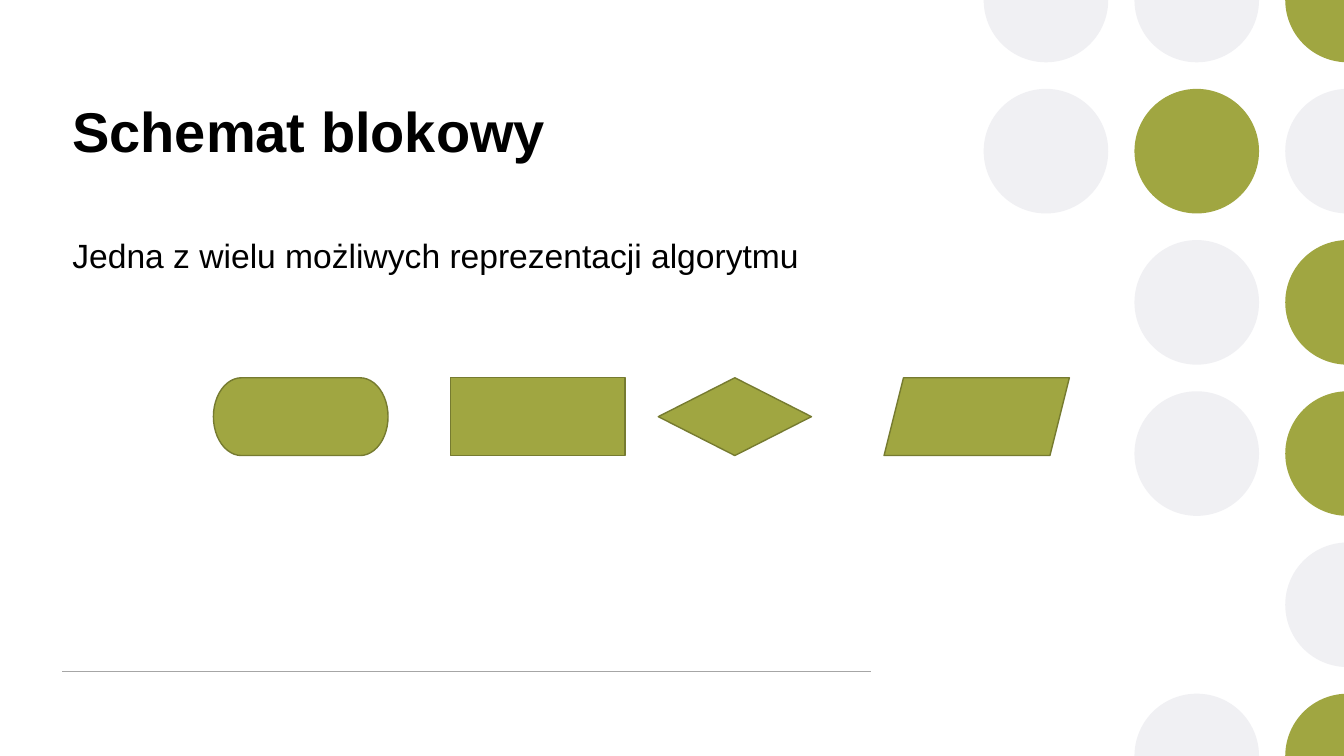
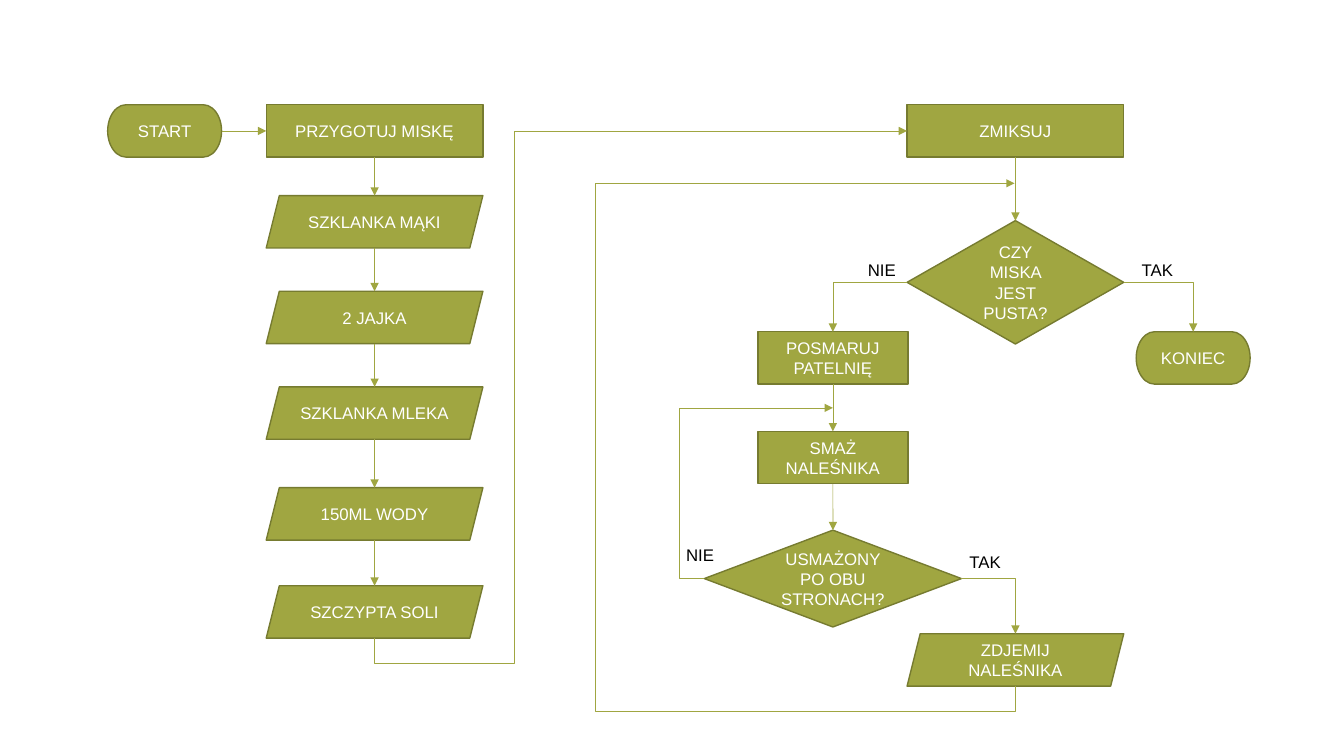
from dataclasses import dataclass

from lxml import etree
from pptx import Presentation
from pptx.dml.color import RGBColor
from pptx.enum.shapes import MSO_CONNECTOR, MSO_SHAPE
from pptx.enum.text import MSO_ANCHOR, MSO_AUTO_SIZE, PP_ALIGN
from pptx.oxml.ns import qn
from pptx.util import Cm, Pt

TERMINATOR = MSO_SHAPE.FLOWCHART_TERMINATOR
PROCESS = MSO_SHAPE.RECTANGLE
DECISION = MSO_SHAPE.FLOWCHART_DECISION
DATA = MSO_SHAPE.PARALLELOGRAM
OVAL = MSO_SHAPE.OVAL
STRAIGHT = MSO_CONNECTOR.STRAIGHT
ELBOW = MSO_CONNECTOR.ELBOW
MIDDLE, TOP = MSO_ANCHOR.MIDDLE, MSO_ANCHOR.TOP
CENTER, LEFT = PP_ALIGN.CENTER, PP_ALIGN.LEFT
NO_AUTOFIT = MSO_AUTO_SIZE.NONE
TITLE_AND_CONTENT, BLANK = 1, 6
SLIDE_W, SLIDE_H = 33.87, 19.05


@dataclass(frozen=True)
class Theme:
    font: str = "Arial"
    olive: RGBColor = RGBColor(0xA0, 0xA6, 0x41)
    olive_dark: RGBColor = RGBColor(0x76, 0x7B, 0x30)
    mist: RGBColor = RGBColor(0xF0, 0xF0, 0xF3)
    rule: RGBColor = RGBColor(0xA6, 0xA6, 0xA6)
    ink: RGBColor = RGBColor(0, 0, 0)
    paper: RGBColor = RGBColor(0xFF, 0xFF, 0xFF)
    title_size: Pt = Pt(40)
    body_size: Pt = Pt(24)
    flow_size: Pt = Pt(12)
    outline: Pt = Pt(1)
    arrow: Pt = Pt(0.5)


THEME = Theme()


@dataclass(frozen=True)
class Box:
    """A rectangle in centimetres."""
    x: float
    y: float
    w: float
    h: float

    @property
    def top(self):
        return self.x + self.w / 2, self.y

    @property
    def bottom(self):
        return self.x + self.w / 2, self.y + self.h

    @property
    def left(self):
        return self.x, self.y + self.h / 2

    @property
    def right(self):
        return self.x + self.w, self.y + self.h / 2

    def lengths(self):
        return Cm(self.x), Cm(self.y), Cm(self.w), Cm(self.h)


def write(frame, text, size, color, bold=False):
    frame.text = text
    for paragraph in frame.paragraphs:
        for run in paragraph.runs:
            run.font.name, run.font.size = THEME.font, size
            run.font.color.rgb, run.font.bold = color, bold


def paint(shape, fill, outline=None):
    shape.shadow.inherit = False
    shape.fill.solid()
    shape.fill.fore_color.rgb = fill
    if outline is None:
        shape.line.fill.background()
    else:
        shape.line.color.rgb = outline
        shape.line.width = THEME.outline


def add_symbol(slide, kind, box, text=""):
    symbol = slide.shapes.add_shape(kind, *box.lengths())
    paint(symbol, THEME.olive, THEME.olive_dark)
    if text:
        frame = symbol.text_frame
        frame.word_wrap = True
        frame.vertical_anchor = MIDDLE
        write(frame, text, THEME.flow_size, THEME.paper)
        frame.paragraphs[0].alignment = CENTER


def add_line(slide, start, end, color, width, kind=STRAIGHT):
    line = slide.shapes.add_connector(kind, *(Cm(v) for v in (*start, *end)))
    line.line.color.rgb = color
    line.line.width = width
    etree.SubElement(line.element.spPr, qn("a:effectLst"))
    return line


def add_arrow(slide, start, end, kind=STRAIGHT, tip="tailEnd"):
    arrow = add_line(slide, start, end, THEME.olive, THEME.arrow, kind)
    outline = arrow.element.spPr.find(qn("a:ln"))
    etree.SubElement(outline, qn("a:" + tip), type="triangle")
    return arrow


def add_bent_arrow(slide, start, end, lane_x=None, lane_y=None, tip="tailEnd"):
    """Leave start sideways; lane_x and lane_y add turns on the way to end."""
    arrow = add_arrow(slide, start, end, ELBOW, tip)
    lanes = [(lane - a) / (b - a)
             for lane, a, b in zip((lane_x, lane_y), start, end) if lane is not None]
    geometry = arrow.element.spPr.find(qn("a:prstGeom"))
    geometry.set("prst", f"bentConnector{2 + len(lanes)}")
    guides = geometry.find(qn("a:avLst"))
    for number, share in enumerate(lanes, 1):
        etree.SubElement(guides, qn("a:gd"), name=f"adj{number}",
                         fmla=f"val {round(share * 100000)}")


def add_dot_grid(slide, box):
    """Fill the box with dots whose centres span it; o is olive, g is grey."""
    rows = ("ggo", "gog", ".go", ".go", "..g", ".go")
    colors = {"o": THEME.olive, "g": THEME.mist}
    radius = 1.57
    step_x, step_y = box.w / (len(rows[0]) - 1), box.h / (len(rows) - 1)
    for row, marks in enumerate(rows):
        for column, mark in enumerate(marks):
            if mark in colors:
                place = Box(box.x + column * step_x - radius,
                            box.y + row * step_y - radius, 2 * radius, 2 * radius)
                dot = slide.shapes.add_shape(OVAL, *place.lengths())
                paint(dot, colors[mark])


def fill_placeholder(placeholder, box, text, size, bold=False, before=0):
    placeholder.left, placeholder.top, placeholder.width, placeholder.height = box.lengths()
    frame = placeholder.text_frame
    frame.word_wrap = True
    frame.auto_size = NO_AUTOFIT
    frame.vertical_anchor = TOP
    write(frame, text, size, THEME.ink, bold)
    paragraph = frame.paragraphs[0]
    paragraph.alignment = LEFT
    paragraph.space_before = Pt(before)
    properties = paragraph._p.get_or_add_pPr()
    properties.set("marL", "0")
    properties.set("indent", "0")
    etree.SubElement(properties, qn("a:buNone"))


def add_symbol_row(slide, box):
    for kind, x, width in ((TERMINATOR, 0, 4.4), (PROCESS, 5.97, 4.4),
                           (DECISION, 11.21, 3.86), (DATA, 16.9, 4.67)):
        add_symbol(slide, kind, Box(box.x + x, box.y, width, box.h))


def build_intro(deck):
    slide = deck.slides.add_slide(deck.slide_layouts[TITLE_AND_CONTENT])
    add_dot_grid(slide, Box(26.36, 0, 7.6, SLIDE_H))
    column = Box(1.57, 2.3, 20.38, 14.62)
    add_line(slide, (column.x, column.bottom[1]),
             (column.right[0], column.bottom[1]), THEME.rule, THEME.outline)
    title, body = slide.placeholders
    fill_placeholder(title, Box(column.x, column.y, column.w, 3.53),
                     "Schemat blokowy", THEME.title_size, bold=True)
    fill_placeholder(body, Box(column.x, column.y + 3.5, column.w, 10),
                     "Jedna z wielu możliwych reprezentacji algorytmu",
                     THEME.body_size, before=9)
    add_symbol_row(slide, Box(5.38, 9.52, 21.57, 1.96))


def add_flowchart(slide, area):
    bar, wide, narrow, small = 1.32, 5.46, 3.78, 2.87
    start_x, bowl_x, pan_x, mix_x, end_x = (
        area.x + x for x in (1.43, 6.72, 18.27, 22.87, 27.35))

    def step(kind, text, center_x, top, width, height=bar):
        box = Box(center_x - width / 2, area.y + top, width, height)
        add_symbol(slide, kind, box, text)
        return box

    start = step(TERMINATOR, "START", start_x, 0, small)
    bowl = [step(PROCESS, "PRZYGOTUJ MISKĘ", bowl_x, 0, wide)]
    for text, top in (("SZKLANKA MĄKI", 2.29), ("2 JAJKA", 4.7),
                      ("SZKLANKA MLEKA", 7.11), ("150ML WODY", 9.65),
                      ("SZCZYPTA SOLI", 12.12)):
        bowl.append(step(DATA, text, bowl_x, top, wide))
    mix = step(PROCESS, "ZMIKSUJ", mix_x, 0, wide)
    is_empty = step(DECISION, "CZY MISKA JEST PUSTA?", mix_x, 2.92, wide, 3.11)
    end = step(TERMINATOR, "KONIEC", end_x, 5.72, small)
    grease = step(PROCESS, "POSMARUJ PATELNIĘ", pan_x, 5.72, narrow)
    fry = step(PROCESS, "SMAŻ NALEŚNIKA", pan_x, 8.23, narrow)
    is_fried = step(DECISION, "USMAŻONY PO OBU STRONACH?", pan_x, 10.72, 6.48, 2.44)
    take_off = step(DATA, "ZDJEMIJ NALEŚNIKA", mix_x, 13.33, wide)

    add_arrow(slide, start.right, bowl[0].left)
    downward = [*zip(bowl, bowl[1:]), (mix, is_empty), (grease, fry), (fry, is_fried)]
    for upper, lower in downward:
        add_arrow(slide, upper.bottom, lower.top)
    for source, target in ((is_empty.right, end), (is_empty.left, grease),
                           (is_fried.right, take_off)):
        add_bent_arrow(slide, source, target.top)

    add_bent_arrow(slide, is_fried.left, (pan_x, area.y + 7.64), area.x + 14.4)
    add_bent_arrow(slide, mix.left, bowl[-1].bottom,
                   area.x + 10.23, area.y + 14.08, tip="headEnd")
    add_bent_arrow(slide, (mix_x - 0.02, area.y + 1.98), take_off.bottom,
                   area.x + 12.29, area.y + 15.29, tip="headEnd")

    for text, x, y in (("TAK", 25.8, 3.79), ("TAK", 21.46, 11.15),
                       ("NIE", 14.32, 10.95), ("NIE", 18.9, 3.79)):
        label = slide.shapes.add_textbox(
            *Box(area.x + x, area.y + y, 1.3, 0.77).lengths())
        label.text_frame.word_wrap = False
        write(label.text_frame, text, THEME.flow_size, THEME.ink)


def build_pancakes(deck):
    slide = deck.slides.add_slide(deck.slide_layouts[BLANK])
    add_flowchart(slide, Box(2.72, 2.64, 28.78, 15.29))


def main():
    deck = Presentation()
    deck.slide_width, deck.slide_height = Cm(SLIDE_W), Cm(SLIDE_H)
    build_intro(deck)
    build_pancakes(deck)
    deck.save("out.pptx")


if __name__ == "__main__":
    main()
